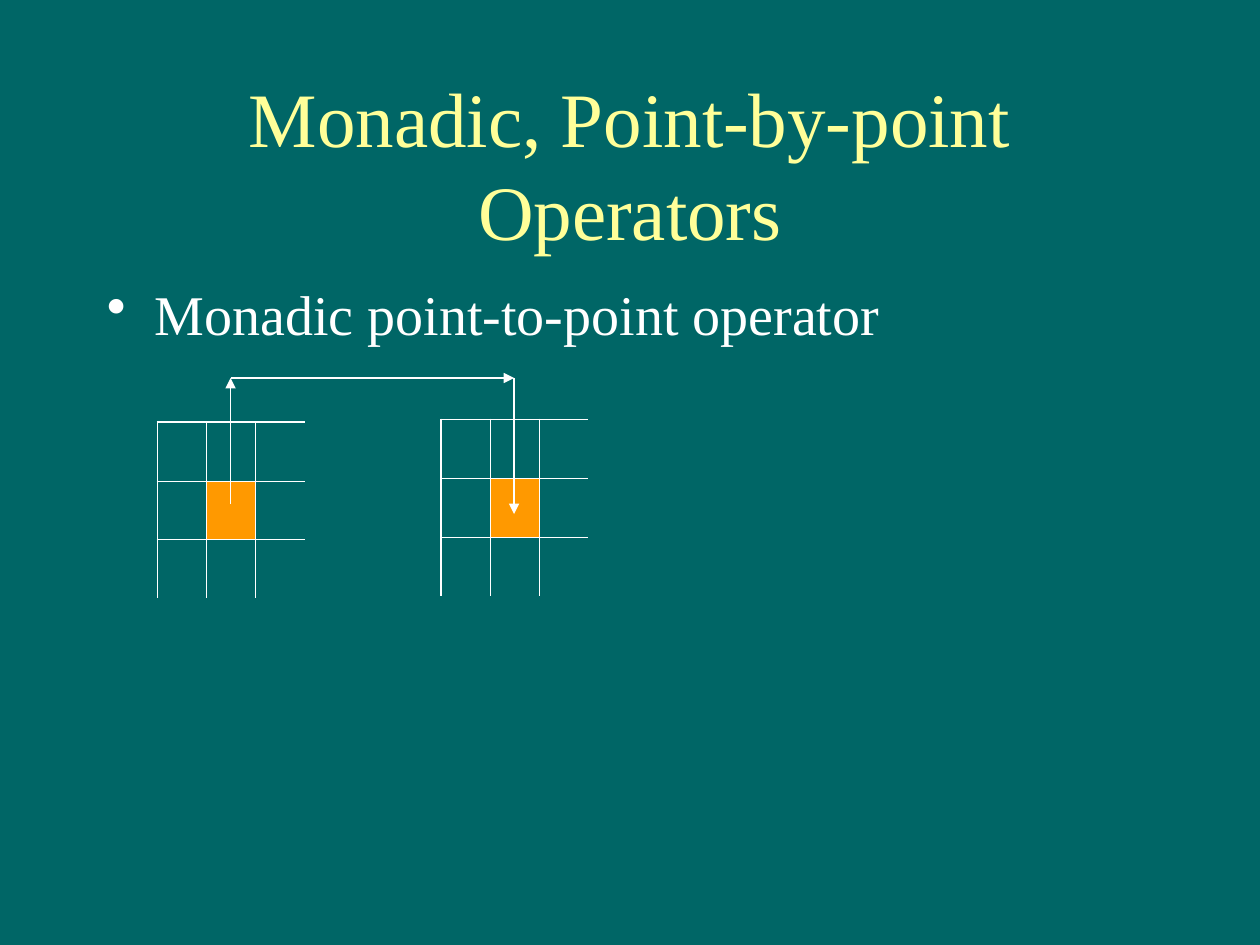
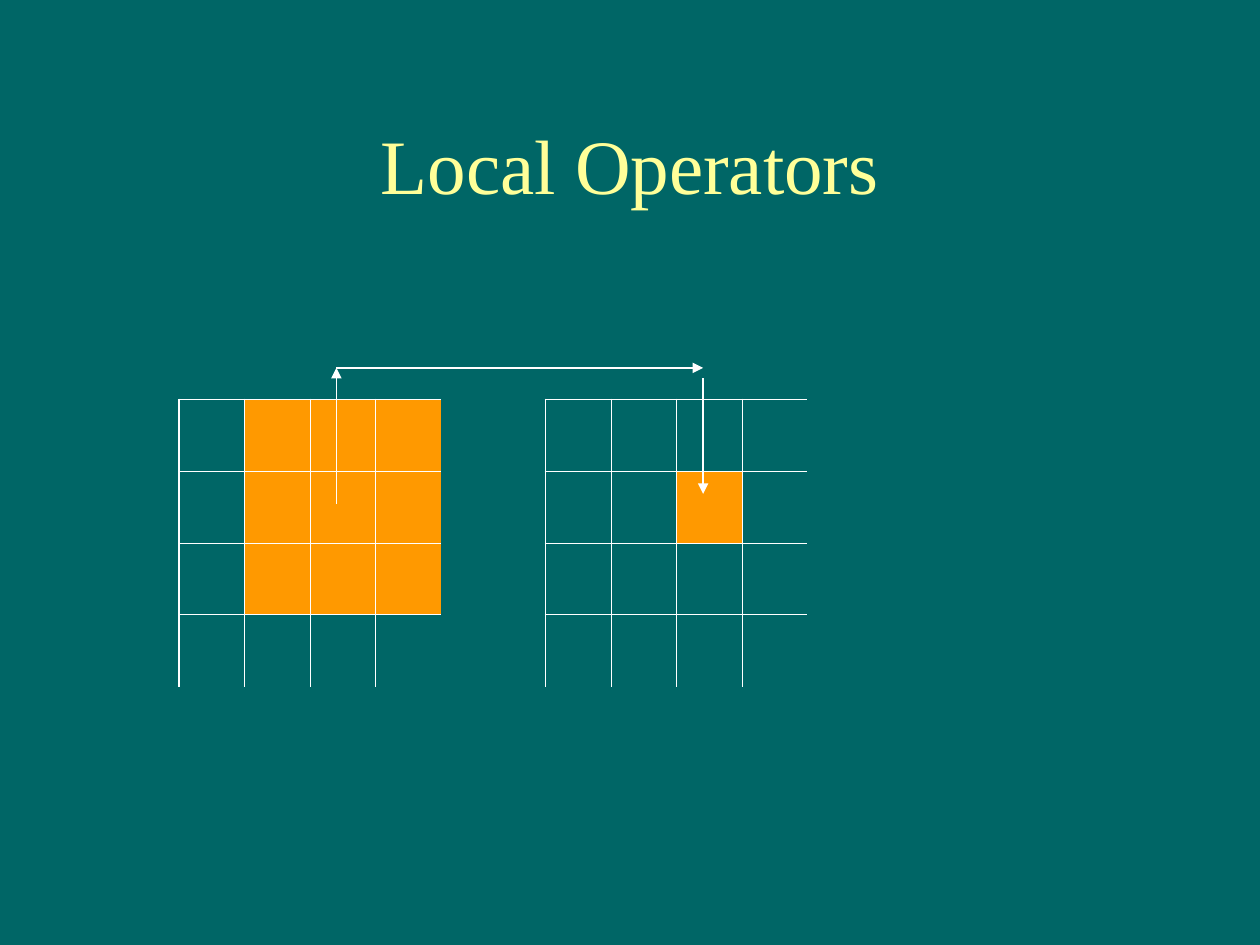
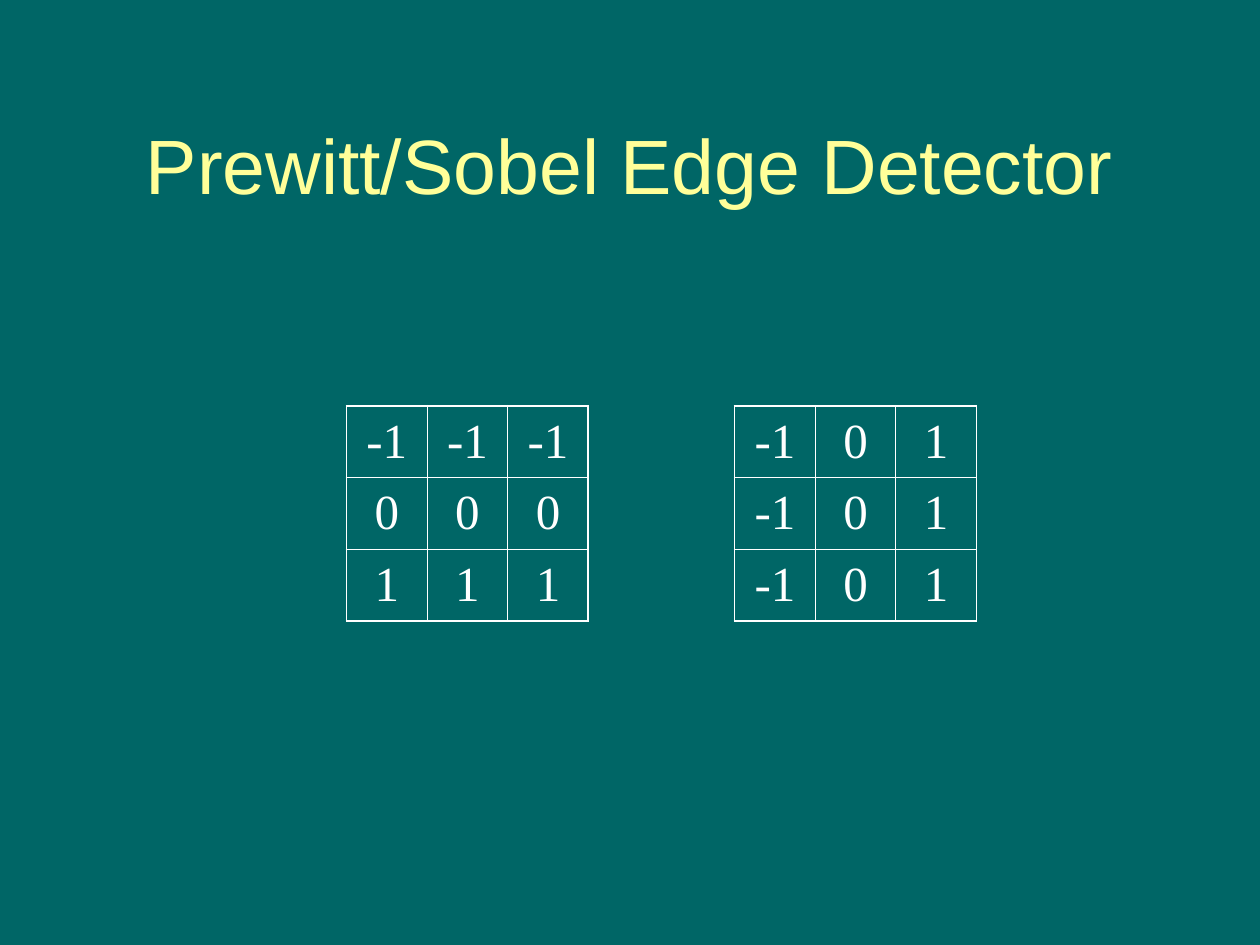
from pptx import Presentation
from pptx.dml.color import RGBColor
from pptx.enum.shapes import MSO_CONNECTOR
from pptx.enum.text import MSO_ANCHOR, PP_ALIGN
from pptx.oxml.ns import qn
from pptx.util import Inches, Pt
from lxml import etree

LINE = MSO_CONNECTOR.STRAIGHT
MIDDLE, TOP = MSO_ANCHOR.MIDDLE, MSO_ANCHOR.TOP
LEFT, CENTER = PP_ALIGN.LEFT, PP_ALIGN.CENTER
SERIF, SANS = "Times New Roman", "Arial"
THICK, THIN = 1.08, 0.45
COLORS = {"back": "006666", "title": "FFFF99", "text": "FFFFFF", "pixel": "FF9900"}
RGB = {name: RGBColor.from_string(code) for name, code in COLORS.items()}


def write(frame, text, size=28, font=SERIF, color="text", align=CENTER,
          anchor=MIDDLE, bullet=False):
    frame.word_wrap = True
    frame.vertical_anchor = anchor
    para = frame.paragraphs[0]
    para.alignment = align
    if bullet:
        props = para._p.get_or_add_pPr()
        props.set("marL", str(Inches(0.38)))
        props.set("indent", str(-Inches(0.38)))
        etree.SubElement(props, qn("a:buChar"), char="•")
    run = para.add_run()
    run.text = text
    run.font.size = Pt(size)
    run.font.name = font
    run.font.color.rgb = RGB[color]


def grid(slide, left, top, width, height, count, filled=(), values=None):
    """Draw a square grid; without values its right and bottom sides stay open."""
    table = slide.shapes.add_table(count, count, Inches(left), Inches(top),
                                   Inches(width), Inches(height)).table
    table.first_row = table.horz_banding = False
    last = count - 1
    far = THICK if values else 0
    for row in range(count):
        for col in range(count):
            cell = table.cell(row, col)
            if (row, col) in filled:
                cell.fill.solid()
                cell.fill.fore_color.rgb = RGB["pixel"]
            else:
                cell.fill.background()
            cell.margin_left = cell.margin_right = Inches(0.1)
            cell.margin_top = cell.margin_bottom = Inches(0.05)
            if values:
                cell.vertical_anchor = MIDDLE
                write(cell.text_frame, str(values[row][col]))
            sides = {
                "a:lnL": THIN if col else THICK,
                "a:lnR": THIN if col < last else far,
                "a:lnT": THIN if row else THICK,
                "a:lnB": THIN if row < last else far,
            }
            props = cell._tc.get_or_add_tcPr()
            for place, (tag, points) in enumerate(sides.items()):
                edge = etree.Element(qn(tag), w=str(Pt(points)))
                if points:
                    paint = etree.SubElement(edge, qn("a:solidFill"))
                    etree.SubElement(paint, qn("a:srgbClr"), val=COLORS["text"])
                else:
                    etree.SubElement(edge, qn("a:noFill"))
                props.insert(place, edge)


deck = Presentation()
deck.slide_width, deck.slide_height = Inches(10), Inches(7.5)

slides = []
for title, font in [("Monadic, Point-by-point Operators", SERIF),
                    ("Local Operators", SERIF),
                    ("Prewitt/Sobel Edge Detector", SANS)]:
    slide = deck.slides.add_slide(deck.slide_layouts[6])
    slide.background.fill.solid()
    slide.background.fill.fore_color.rgb = RGB["back"]
    box = slide.shapes.add_textbox(Inches(0.75), Inches(0.67), Inches(8.5), Inches(1.25))
    write(box.text_frame, title, size=44, font=font, color="title")
    slides.append(slide)
point, local, edges = slides

# Point operator: one pixel maps to one pixel
body = point.shapes.add_textbox(Inches(0.75), Inches(2.17), Inches(8.5), Inches(4.5))
write(body.text_frame, "Monadic point-to-point operator", size=32, align=LEFT,
      anchor=TOP, bullet=True)
for left, top in [(3.5, 3.33), (1.25, 3.35)]:
    grid(point, left, top, 1.17, 1.4, 3, filled=[(1, 1)])

# Local operator: a 3 by 3 window maps to one pixel
window = [(row, col) for row in range(3) for col in range(1, 4)]
for left, filled in [(1.42, window), (4.33, [(1, 2)])]:
    grid(local, left, 3.17, 2.08, 2.28, 4, filled=filled)

# Edge detector: the second mask is the first one transposed
mask = [[-1] * 3, [0] * 3, [1] * 3]
for left, values in [(2.75, mask), (5.83, list(zip(*mask)))]:
    grid(edges, left, 3.22, 1.92, 1.71, 3, values=values)

# Arrows go up from the source, across, and down to the target
for slide, source, target, start, bar, drop, end in [
    (point, 1.83, 4.08, 4, 3, 3, 4.08),
    (local, 2.67, 5.58, 4, 2.92, 3, 3.92),
]:
    for ends in [(source, start, source, bar), (source, bar, target, bar),
                 (target, drop, target, end)]:
        arrow = slide.shapes.add_connector(LINE, *map(Inches, ends))
        arrow.line.color.rgb = RGB["text"]
        arrow.line.width = Pt(0.75)
        etree.SubElement(arrow.line._get_or_add_ln(), qn("a:tailEnd"), type="triangle")
        etree.SubElement(arrow._element.spPr, qn("a:effectLst"))

deck.save("out.pptx")
